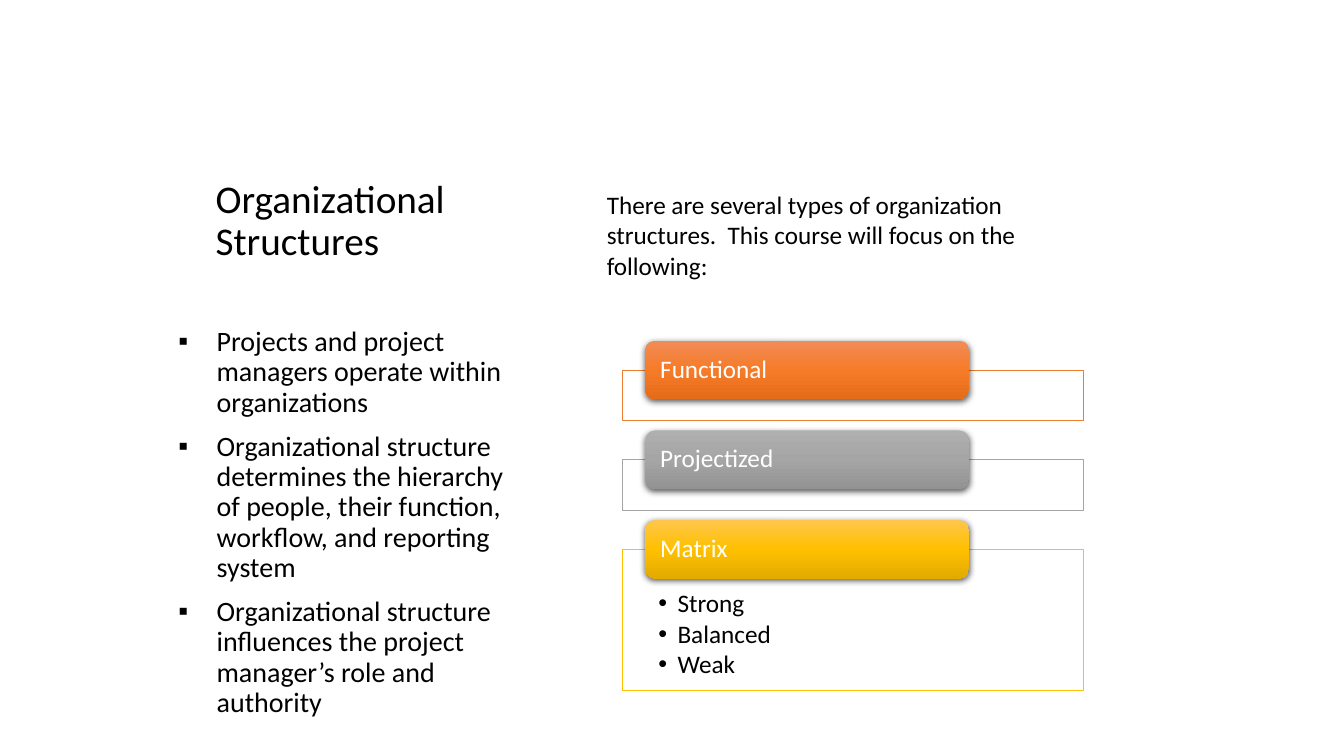
from dataclasses import dataclass, field
from typing import Any

import pptx
import pptx.dml.color
import pptx.enum.shapes
import pptx.enum.text
import pptx.oxml
import pptx.oxml.ns
import pptx.util

Inches = pptx.util.Inches
Pt = pptx.util.Pt
RGB = pptx.dml.color.RGBColor.from_string
Anchor = pptx.enum.text.MSO_ANCHOR
Autoshape = pptx.enum.shapes.MSO_SHAPE
NS = pptx.oxml.ns.nsdecls("a")


@dataclass(frozen=True)
class Theme:
    font: str = "Calibri"
    ink: str = "000000"
    paper: str = "FFFFFF"
    title_size: int = 28
    body_size: int = 20
    detail_size: int = 18


@dataclass(frozen=True)
class TextStyle:
    size: int
    color: str
    line_spacing: float = 0.9
    space_before: float = 0
    space_after: float = 0
    bullet: str = ""
    indent: float = 0
    insets: tuple[float, float, float, float] = (0.1, 0.05, 0.1, 0.05)
    frame: dict[str, Any] = field(default_factory=dict)


@dataclass(frozen=True)
class Structure:
    name: str
    outline: str
    gradient: tuple[str, str, str]
    height: float = 0.5
    variants: tuple[str, ...] = ()


THEME = Theme()
TITLE = TextStyle(THEME.title_size, THEME.ink, frame={"vertical_anchor": Anchor.BOTTOM})
BODY = TextStyle(THEME.body_size, THEME.ink, space_before=10, bullet="▪", indent=0.38)
INTRO = TextStyle(THEME.detail_size, THEME.ink, line_spacing=1.0,
                  frame={"auto_size": pptx.enum.text.MSO_AUTO_SIZE.SHAPE_TO_FIT_TEXT})
LABEL = TextStyle(THEME.detail_size, THEME.paper, insets=(0.12, 0, 0.12, 0),
                  frame={"vertical_anchor": Anchor.MIDDLE})
VARIANT = TextStyle(THEME.detail_size, THEME.ink, space_after=2.5, bullet="•",
                    indent=0.19, insets=(0.36, 0.41, 0.36, 0.14))

STRUCTURES = (
    Structure("Functional", "ED7D31", ("F18C57", "F67B28", "E56C19")),
    Structure("Projectized", "A5A5A5", ("AFAFAF", "A5A5A5", "939393")),
    Structure("Matrix", "FFC000", ("FFC64B", "FFC000", "E3AB00"), 1.4,
              ("Strong", "Balanced", "Weak")),
)
FIRST_LABEL_TOP, ROW_PITCH, LABEL_OVERLAP = 3.38, 0.89, 0.29


def set_all(target: Any, values: dict[str, Any]) -> None:
    for name, value in values.items():
        setattr(target, name, value)


def write(shape: Any, lines: tuple[str, ...], style: TextStyle) -> None:
    """Fill a shape's text frame, one paragraph per line."""
    frame = shape.text_frame
    left, top, right, bottom = map(Inches, style.insets)
    set_all(frame, {
        "word_wrap": True, "vertical_anchor": Anchor.TOP,
        "margin_left": left, "margin_top": top,
        "margin_right": right, "margin_bottom": bottom, **style.frame,
    })
    for index, line in enumerate(lines):
        paragraph = frame.paragraphs[0] if index == 0 else frame.add_paragraph()
        if style.bullet:
            properties = paragraph._p.get_or_add_pPr()
            properties.set("marL", str(Inches(style.indent)))
            properties.set("indent", str(-Inches(style.indent)))
            properties.append(pptx.oxml.parse_xml(f'<a:buFont {NS} typeface="Arial"/>'))
            properties.append(pptx.oxml.parse_xml(f'<a:buChar {NS} char="{style.bullet}"/>'))
        set_all(paragraph, {
            "alignment": pptx.enum.text.PP_ALIGN.LEFT,
            "line_spacing": style.line_spacing,
            "space_before": Pt(style.space_before if index else 0),
            "space_after": Pt(style.space_after),
        })
        run = paragraph.add_run()
        run.text = line
        set_all(run.font, {"name": THEME.font, "size": Pt(style.size)})
        run.font.color.rgb = RGB(style.color)


def add_text(slide: Any, box: tuple[float, ...], lines: tuple[str, ...],
             style: TextStyle) -> None:
    write(slide.shapes.add_textbox(*map(Inches, box)), lines, style)


def add_frame(slide: Any, structure: Structure, top: float) -> None:
    """Outlined panel behind a label, listing any variants."""
    panel = slide.shapes.add_shape(
        Autoshape.RECTANGLE, *map(Inches, (6.17, top, 4.58, structure.height)))
    panel.shadow.inherit = False
    panel.fill.solid()
    panel.fill.fore_color.rgb = RGB(THEME.paper)
    paper = panel._element.spPr.find(".//" + pptx.oxml.ns.qn("a:srgbClr"))
    paper.append(pptx.oxml.parse_xml(f'<a:alpha {NS} val="90000"/>'))
    panel.line.color.rgb = RGB(structure.outline)
    panel.line.width = Pt(0.5)
    if structure.variants:
        write(panel, structure.variants, VARIANT)


def add_label(slide: Any, structure: Structure, top: float) -> None:
    """Rounded label with a vertical gradient and a soft shadow."""
    label = slide.shapes.add_shape(
        Autoshape.ROUNDED_RECTANGLE, *map(Inches, (6.4, top, 3.21, 0.58)))
    label.line.fill.background()
    label.shadow.inherit = False
    stops = "".join(
        f'<a:gs pos="{50000 * index}"><a:srgbClr val="{color}"/></a:gs>'
        for index, color in enumerate(structure.gradient))
    properties = label._element.spPr
    properties.find(pptx.oxml.ns.qn("a:prstGeom")).addnext(pptx.oxml.parse_xml(
        f'<a:gradFill {NS}><a:gsLst>{stops}</a:gsLst><a:lin ang="5400000" scaled="0"/></a:gradFill>'))
    properties.find(pptx.oxml.ns.qn("a:effectLst")).append(pptx.oxml.parse_xml(
        f'<a:outerShdw {NS} blurRad="{Pt(4.5)}" dist="{Pt(1.5)}" dir="5400000" algn="ctr" '
        f'rotWithShape="0"><a:srgbClr val="{THEME.ink}"><a:alpha val="63000"/></a:srgbClr>'
        '</a:outerShdw>'))
    write(label, (structure.name,), LABEL)


def main() -> None:
    deck = pptx.Presentation()
    set_all(deck, {"slide_width": Inches(13.33), "slide_height": Inches(7.5)})
    slide = deck.slides.add_slide(deck.slide_layouts[6])

    # Title and key points
    add_text(slide, (2.04, 0.65, 2.62, 2.02), ("Organizational Structures",), TITLE)
    add_text(slide, (1.67, 3.2, 3.42, 3.7), (
        "Projects and project managers operate within organizations",
        "Organizational structure determines the hierarchy of people, "
        "their function, workflow, and reporting system",
        "Organizational structure influences the project manager’s role and authority",
    ), BODY)

    # Structure types
    for row, structure in enumerate(STRUCTURES):
        top = FIRST_LABEL_TOP + row * ROW_PITCH
        add_frame(slide, structure, top + LABEL_OVERLAP)
        add_label(slide, structure, top)

    # Introduction to the types
    add_text(slide, (5.92, 1.83, 5, 1.01), (
        "There are several types of organization structures.  "
        "This course will focus on the following:",
    ), INTRO)

    deck.save("out.pptx")


if __name__ == "__main__":
    main()
